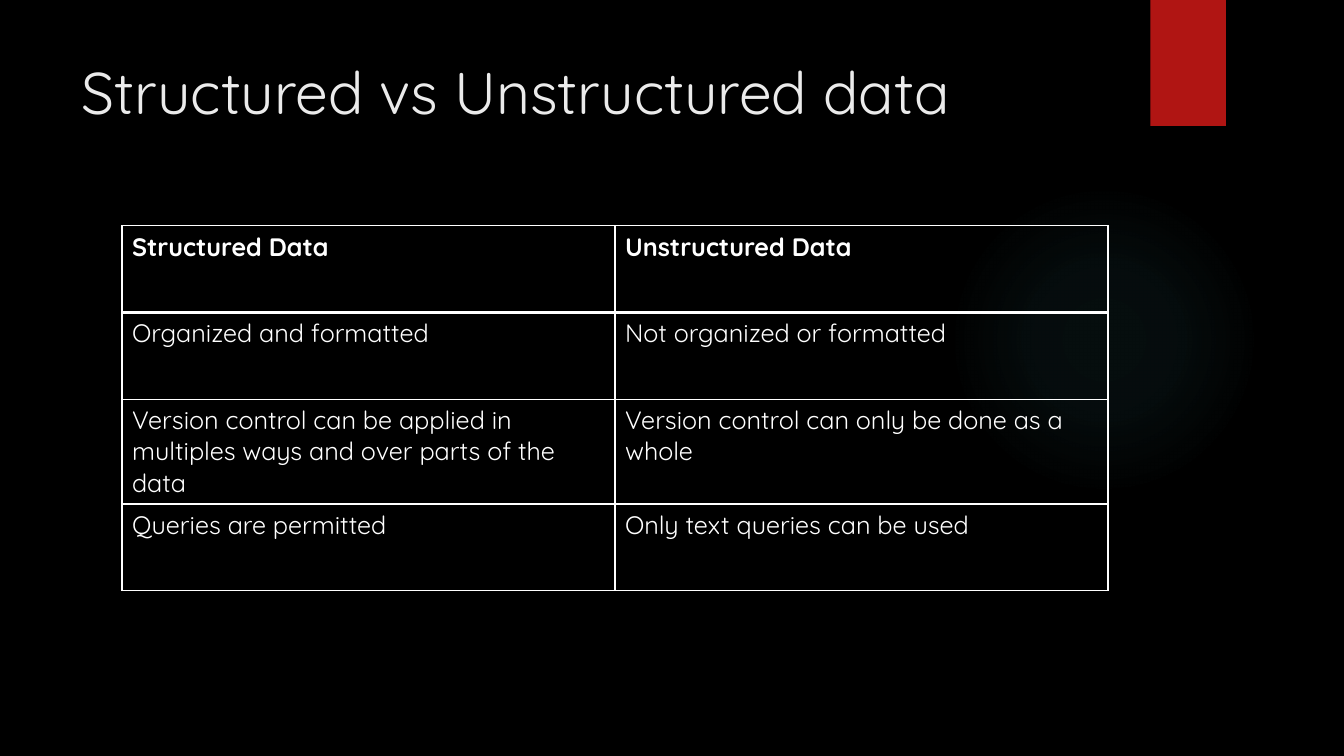
import dataclasses

import lxml.etree
import pptx
import pptx.dml.color
import pptx.enum.shapes
import pptx.enum.text
import pptx.oxml
import pptx.oxml.ns
import pptx.util

Inches = pptx.util.Inches
Pt = pptx.util.Pt
qn = pptx.oxml.ns.qn
SHAPE = pptx.enum.shapes.MSO_SHAPE


@dataclasses.dataclass(frozen=True)
class Theme:
    font: str = "Quicksand"
    background: str = "000000"
    title: str = "EBEBEB"
    text: str = "FFFFFF"
    border: str = "FFFFFF"
    ribbon: str = "B01513"
    glow: str = "50B9C1"
    title_size: int = 42
    cell_size: int = 18
    border_width: int = 1
    header_rule_width: int = 3


THEME = Theme()
GLOW_STOPS = [(0, 7), (36, 6), (69, 0)]
ROWS = [
    ("Structured Data", "Unstructured Data"),
    ("Organized and formatted", "Not organized or formatted"),
    ("Version control can be applied in multiples ways and over parts of the data",
     "Version control can only be done as a whole"),
    ("Queries are permitted", "Only text queries can be used"),
]


def rgb(color):
    return pptx.dml.color.RGBColor.from_string(color)


def write_text(tf, text, *, size, color, bold=False):
    tf.word_wrap = True
    tf.vertical_anchor = pptx.enum.text.MSO_ANCHOR.TOP
    p = tf.paragraphs[0]
    p.alignment = pptx.enum.text.PP_ALIGN.LEFT
    r = p.add_run()
    r.text = text
    r.font.name = THEME.font
    r.font.size = Pt(size)
    r.font.bold = bold
    r.font.color.rgb = rgb(color)


def add_plain_shape(slide, kind, box, color):
    sp = slide.shapes.add_shape(kind, *map(Inches, box))
    sp.shadow.inherit = False
    sp.fill.solid()
    sp.fill.fore_color.rgb = rgb(color)
    sp.line.fill.background()
    return sp


def add_glow(slide, box):
    sp = add_plain_shape(slide, SHAPE.OVAL, box, THEME.glow)
    stops = "".join(
        f'<a:gs pos="{pos * 1000}"><a:srgbClr val="{THEME.glow}">'
        f'<a:alpha val="{alpha * 1000}"/></a:srgbClr></a:gs>'
        for pos, alpha in GLOW_STOPS)
    grad = pptx.oxml.parse_xml(
        f'<a:gradFill {pptx.oxml.ns.nsdecls("a")}><a:gsLst>{stops}</a:gsLst>'
        '<a:path path="circle"><a:fillToRect l="50000" t="50000" r="50000" b="50000"/>'
        '</a:path></a:gradFill>')
    solid = sp.fill._xPr.find(qn("a:solidFill"))
    solid.getparent().replace(solid, grad)


def add_ribbon(slide, box):
    add_plain_shape(slide, SHAPE.RECTANGLE, box, THEME.ribbon)


def add_title(slide, box, text):
    sp = slide.shapes.title
    sp.left, sp.top, sp.width, sp.height = map(Inches, box)
    write_text(sp.text_frame, text, size=THEME.title_size, color=THEME.title)
    sp.text_frame.auto_size = pptx.enum.text.MSO_AUTO_SIZE.NONE


def set_border(cell, side, width):
    tcPr = cell._tc.get_or_add_tcPr()
    ln = lxml.etree.SubElement(tcPr, qn(f"a:ln{side}"), w=str(Pt(width)))
    fill = lxml.etree.SubElement(ln, qn("a:solidFill"))
    lxml.etree.SubElement(fill, qn("a:srgbClr"), val=THEME.border)


def add_comparison(slide, box, rows):
    frame = slide.shapes.add_table(len(rows), len(rows[0]), *map(Inches, box))
    table = frame.table
    table.first_row = False
    table.horz_banding = False
    for i, row in enumerate(rows):
        header = i == 0
        for j, text in enumerate(row):
            cell = table.cell(i, j)
            write_text(cell.text_frame, text, size=THEME.cell_size,
                       color=THEME.text, bold=header)
            widths = dict.fromkeys("LRTB", THEME.border_width)
            if header:
                widths["B"] = THEME.header_rule_width
            elif i == 1:
                widths["T"] = THEME.header_rule_width
            for side, width in widths.items():
                set_border(cell, side, width)
            cell.fill.background()


def build_comparison_slide(prs):
    slide = prs.slides.add_slide(prs.slide_layouts[5])
    slide.background.fill.solid()
    slide.background.fill.fore_color.rgb = rgb(THEME.background)
    add_glow(slide, (9.41, 1.83, 3.08, 3.08))
    add_ribbon(slide, (11.41, 0, 0.75, 1.25))
    add_title(slide, (0.71, 0.5, 10.29, 1.53), "Structured vs Unstructured data")
    add_comparison(slide, (1.21, 2.24, 9.78, 3.44), ROWS)


def main():
    prs = pptx.Presentation()
    prs.slide_width = Inches(13.33)
    prs.slide_height = Inches(7.5)
    build_comparison_slide(prs)
    prs.save("out.pptx")


if __name__ == "__main__":
    main()
